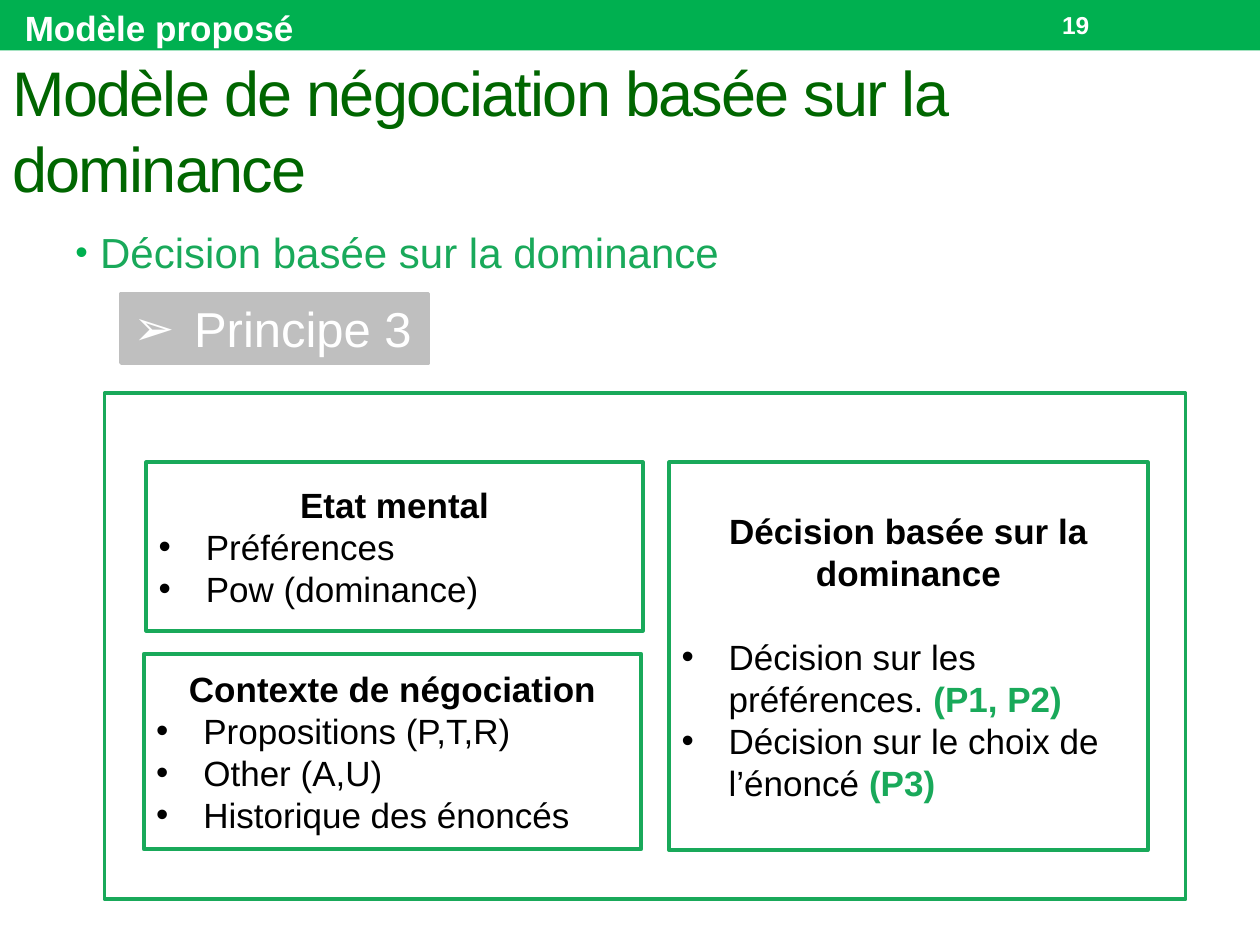
import dataclasses

import pptx
import pptx.dml.color
import pptx.enum.shapes
import pptx.enum.text
import pptx.oxml.ns
import pptx.util
from lxml import etree

Cm = pptx.util.Cm
Pt = pptx.util.Pt
ALIGN = pptx.enum.text.PP_ALIGN
ANCHOR = pptx.enum.text.MSO_ANCHOR


@dataclasses.dataclass(frozen=True)
class Theme:
    font: str = "Arial"
    band: str = "00B050"
    accent: str = "19A95A"
    title: str = "006600"
    tag: str = "BFBFBF"
    light: str = "FFFFFF"
    dark: str = "000000"
    number_size: float = 14
    text_size: float = 20
    topic_size: float = 24
    principle_size: float = 28
    title_size: float = 36
    outline: float = 2.08


THEME = Theme()


def rgb(color):
    return pptx.dml.color.RGBColor.from_string(color)


def add_run(paragraph, text, *, size=THEME.text_size, color=THEME.dark,
            bold=False, spacing=None):
    run = paragraph.add_run()
    run.text = text
    run.font.name = THEME.font
    run.font.size = Pt(size)
    run.font.bold = bold
    run.font.color.rgb = rgb(color)
    if spacing is not None:
        run.font._element.set("spc", str(int(spacing * 100)))


def add_bullet(paragraph, mark="•", indent=0.95, color=None, percent=None):
    properties = paragraph._p.get_or_add_pPr()
    properties.set("marL", str(Cm(indent)))
    properties.set("indent", str(-Cm(indent)))

    def child(parent, tag, **attributes):
        return etree.SubElement(parent, pptx.oxml.ns.qn(tag), attributes)

    if color:
        child(child(properties, "a:buClr"), "a:srgbClr", val=color)
    if percent:
        child(properties, "a:buSzPct", val=str(percent * 1000))
    child(properties, "a:buFont", typeface=THEME.font)
    child(properties, "a:buChar", char=mark)


def next_paragraph(frame, align=ALIGN.LEFT, before=0):
    first = frame.paragraphs[0]
    paragraph = frame.add_paragraph() if first.runs else first
    paragraph.alignment = align
    paragraph.space_before = Pt(before)
    return paragraph


def add_box(slide, left, top, width, height, fill=None, line=None):
    box = slide.shapes.add_shape(
        pptx.enum.shapes.MSO_SHAPE.RECTANGLE,
        Cm(left), Cm(top), Cm(width), Cm(height))
    box.shadow.inherit = False
    if fill:
        box.fill.solid()
        box.fill.fore_color.rgb = rgb(fill)
    else:
        box.fill.background()
    if line:
        box.line.color.rgb = rgb(line)
        box.line.width = Pt(THEME.outline)
    else:
        box.line.fill.background()
    box.text_frame.word_wrap = True
    box.text_frame.vertical_anchor = ANCHOR.MIDDLE
    return box.text_frame


def add_label(slide, left, top, width, height, anchor=ANCHOR.TOP, wrap=True):
    label = slide.shapes.add_textbox(Cm(left), Cm(top), Cm(width), Cm(height))
    label.text_frame.word_wrap = wrap
    label.text_frame.vertical_anchor = anchor
    return next_paragraph(label.text_frame)


def add_panel(slide, bounds, heading, items, gap=0):
    panel = add_box(slide, *bounds, line=THEME.accent)
    add_run(next_paragraph(panel, ALIGN.CENTER), heading, bold=True)
    for index, (item, reference) in enumerate(items):
        entry = next_paragraph(panel, before=0 if index else gap)
        add_bullet(entry)
        add_run(entry, item)
        if reference:
            add_run(entry, reference, color=THEME.accent, bold=True)


def add_header(slide):
    add_box(slide, 0, 0, 25.4, 1.02, fill=THEME.band)
    page = add_label(slide, 21.16, 0.05, 2.97, 0.91, ANCHOR.MIDDLE)
    add_run(page, "19", size=THEME.number_size, color=THEME.light, bold=True)
    section = add_label(slide, 0.25, 0, 5.97, 1.12, wrap=False)
    add_run(section, "Modèle proposé", color=THEME.light, bold=True)
    title = add_label(slide, 0, 1.02, 24.89, 3.18, ANCHOR.MIDDLE)
    add_run(title, "Modèle de négociation basée sur la dominance",
            size=THEME.title_size, color=THEME.title, spacing=-1)


def add_topic(slide):
    topic = add_label(slide, 1.27, 4.45, 22.86, 1.47)
    topic.space_before = Pt(4.8)
    add_bullet(topic, indent=0.5, color=THEME.band, percent=85)
    add_run(topic, "Décision basée sur la dominance",
            size=THEME.topic_size, color=THEME.accent)

    tag = add_box(slide, 2.44, 5.92, 6.2, 1.4, fill=THEME.tag, line=THEME.tag)
    principle = next_paragraph(tag, before=5.6)
    add_bullet(principle, mark="➢")
    add_run(principle, " Principe 3",
            size=THEME.principle_size, color=THEME.light)


def add_model(slide):
    add_box(slide, 2.11, 7.92, 21.79, 10.21, line=THEME.accent)
    add_panel(slide, (2.95, 9.32, 10.01, 3.4), "Etat mental",
              [("Préférences", ""), ("Pow (dominance)", "")])
    add_panel(slide, (2.9, 13.18, 10.03, 3.94), "Contexte de négociation",
              [("Propositions (P,T,R)", ""), ("Other (A,U)", ""),
               ("Historique des énoncés", "")])
    add_panel(slide, (13.49, 9.32, 9.65, 7.82),
              "Décision basée sur la dominance",
              [("Décision sur les préférences. ", "(P1, P2)"),
               ("Décision sur le choix de l’énoncé ", "(P3)")], gap=24)


def main():
    deck = pptx.Presentation()
    deck.slide_width, deck.slide_height = Cm(25.4), Cm(19.05)
    slide = deck.slides.add_slide(deck.slide_layouts[6])
    add_header(slide)
    add_topic(slide)
    add_model(slide)
    deck.save("out.pptx")


if __name__ == "__main__":
    main()
